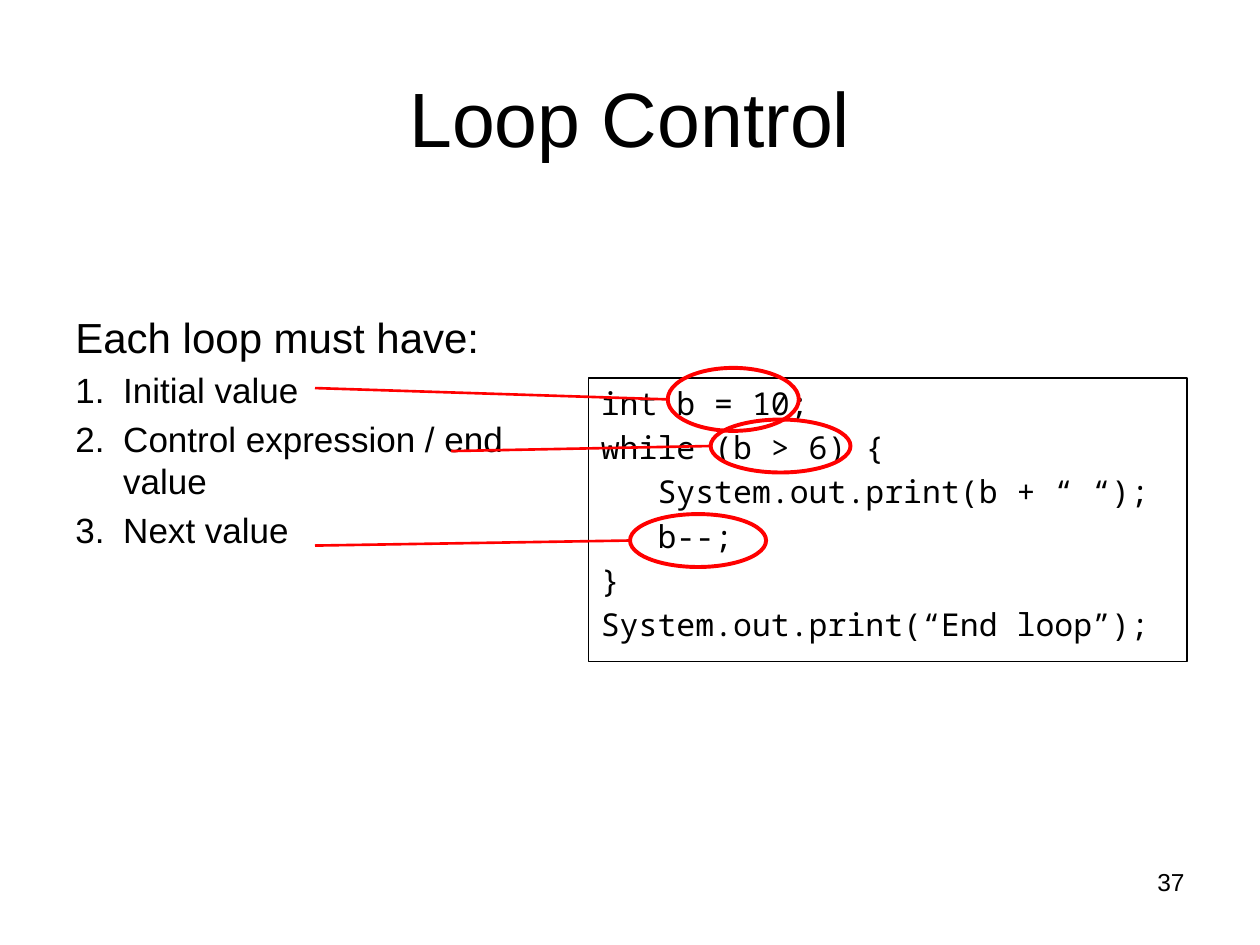
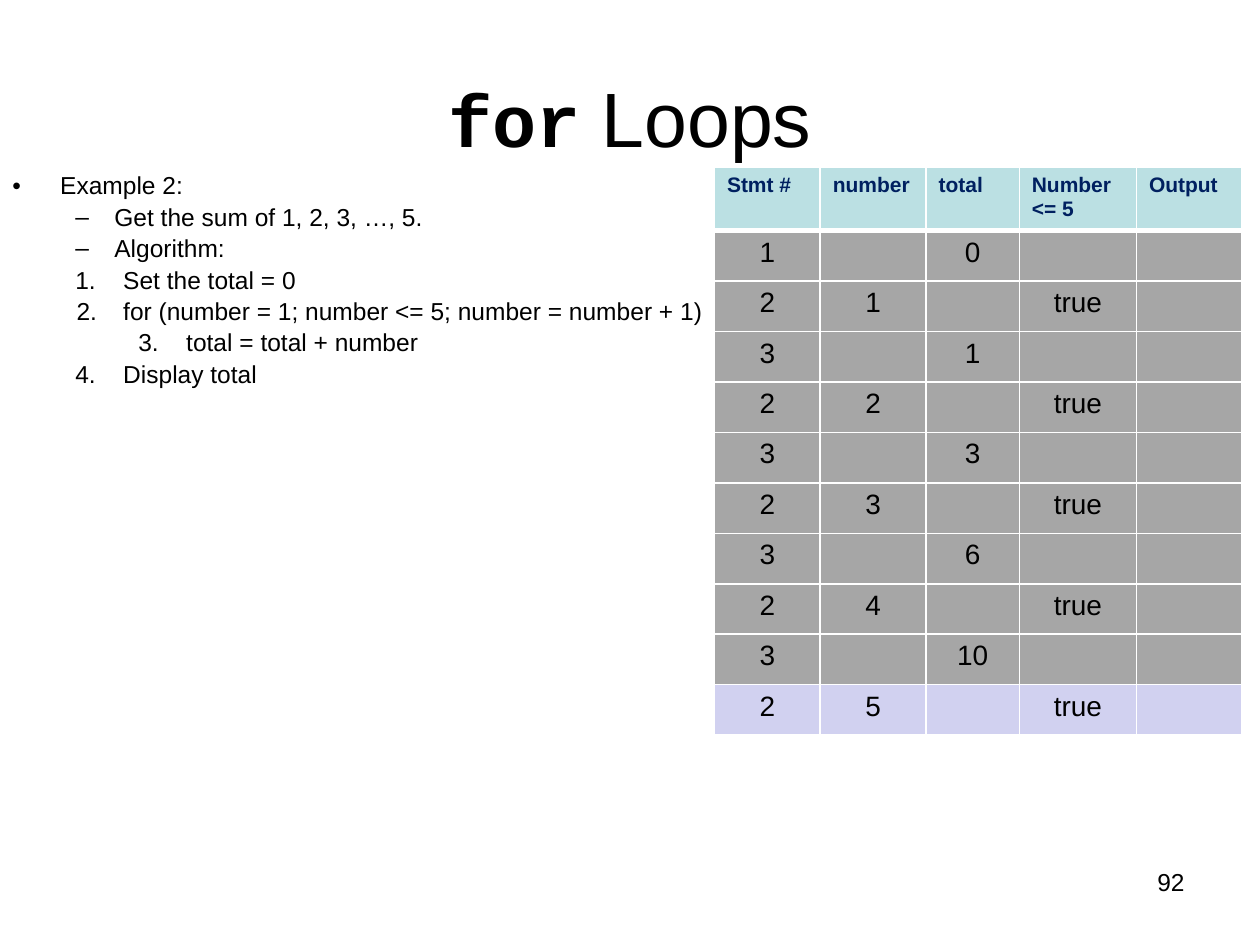
from lxml.etree import SubElement
from pptx import Presentation
from pptx.dml.color import RGBColor
from pptx.enum.shapes import MSO_CONNECTOR as Connector, MSO_SHAPE as Shape
from pptx.enum.text import MSO_ANCHOR as Anchor, PP_ALIGN as Align
from pptx.oxml.ns import qn
from pptx.util import Inches, Pt

BLACK = RGBColor(0x00, 0x00, 0x00)
WHITE = RGBColor(0xFF, 0xFF, 0xFF)
RED = RGBColor(0xFF, 0x00, 0x00)
NAVY = RGBColor(0x00, 0x20, 0x60)
TEAL = RGBColor(0xBB, 0xE0, 0xE3)
GRAY = RGBColor(0xA6, 0xA6, 0xA6)
LAVENDER = RGBColor(0xD1, 0xD1, 0xF0)

SANS = "Arial"
KEYWORD = "Courier New"
MONO = "Noto Sans Mono"
SPACE_RATIO = 0.2


def apply(target, values):
    for name, value in values.items():
        setattr(target, name, value)


class Deck:
    def __init__(self):
        self.presentation = Presentation()
        apply(self.presentation, {"slide_width": Inches(10), "slide_height": Inches(7.5)})
        self.slide = None

    def add_slide(self, title_runs, number):
        self.slide = self.presentation.slides.add_slide(self.presentation.slide_layouts[6])
        title = self.text_frame(0.5, 0.3, 9, 1.25, Anchor.MIDDLE)
        heading = title.paragraphs[0]
        heading.alignment = Align.CENTER
        for text, font, size, bold in title_runs:
            self.run(heading, text, size, font, bold=bold)
        footer = self.text_frame(7.17, 6.83, 2.33, 0.52).paragraphs[0]
        footer.alignment = Align.RIGHT
        self.run(footer, number, 14)

    def text_frame(self, left, top, width, height, anchor=Anchor.TOP):
        box = self.slide.shapes.add_textbox(
            Inches(left), Inches(top), Inches(width), Inches(height))
        apply(box.text_frame, {"word_wrap": True, "vertical_anchor": anchor})
        return box.text_frame

    def run(self, paragraph, text, size, font=SANS, color=BLACK, bold=False):
        run = paragraph.add_run()
        run.text = text
        apply(run.font, {"name": font, "size": Pt(size), "bold": bold})
        run.font.color.rgb = color

    def paragraph(self, frame, text, size, font=SANS, left=0, hanging=0, level=0,
                  bullet=None, start=None, line_spacing=1.0):
        paragraph = frame.paragraphs[0]
        if paragraph.runs:
            paragraph = frame.add_paragraph()
        apply(paragraph, {"alignment": Align.LEFT, "level": level,
                          "space_before": Pt(size * SPACE_RATIO),
                          "line_spacing": line_spacing})
        properties = paragraph._p.get_or_add_pPr()
        properties.set("marL", str(Inches(left)))
        properties.set("indent", str(Inches(-hanging)))
        if bullet:
            SubElement(properties, qn("a:buFont"), typeface=SANS)
            if bullet == "1.":
                numbering = SubElement(properties, qn("a:buAutoNum"), type="arabicPeriod")
                if start:
                    numbering.set("startAt", str(start))
            else:
                SubElement(properties, qn("a:buChar"), char=bullet)
        self.run(paragraph, text, size, font)

    def outline(self, kind, left, top, width, height, color, weight):
        shape = self.slide.shapes.add_shape(
            kind, Inches(left), Inches(top), Inches(width), Inches(height))
        shape.shadow.inherit = False
        shape.fill.background()
        shape.line.color.rgb = color
        shape.line.width = Pt(weight)
        return shape

    def line(self, start, end, color, weight):
        line = self.slide.shapes.add_connector(
            Connector.STRAIGHT, *(Inches(value) for value in start + end))
        line.line.color.rgb = color
        line.line.width = Pt(weight)
        SubElement(line._element.spPr, qn("a:effectLst"))

    def callout(self, start, left, top, width, height):
        self.outline(Shape.OVAL, left, top, width, height, RED, 2.25)
        self.line(start, (left, top + height / 2), RED, 1.5)

    def border(self, cell, side, weight):
        edge = SubElement(cell._tc.get_or_add_tcPr(), qn(f"a:ln{side}"), w=str(Pt(weight)))
        fill = SubElement(edge, qn("a:solidFill"))
        SubElement(fill, qn("a:srgbClr"), val=str(WHITE))

    def table(self, left, top, widths, heights, rows, fills):
        table = self.slide.shapes.add_table(
            len(rows), len(widths), Inches(left), Inches(top),
            Inches(sum(widths)), Inches(sum(heights))).table
        for column, width in zip(table.columns, widths):
            column.width = Inches(width)
        for index, (row, height) in enumerate(zip(rows, heights)):
            table.rows[index].height = Inches(height)
            for cell, text in zip(table.rows[index].cells, row):
                for side in "LRTB":
                    thick = (index, side) in ((0, "B"), (1, "T"))
                    self.border(cell, side, 3 if thick else 1)
                cell.fill.solid()
                cell.fill.fore_color.rgb = fills[index]
                if text:
                    entry = cell.text_frame.paragraphs[0]
                    if index == 0:
                        self.run(entry, text, 12, color=NAVY, bold=True)
                    else:
                        entry.alignment = Align.CENTER
                        self.run(entry, text, 16)


def loop_control(deck):
    deck.add_slide([("Loop Control", SANS, 44, False)], "37")
    code = deck.outline(Shape.RECTANGLE, 4.67, 3, 4.75, 2.25, BLACK, 0.75).text_frame
    apply(code, {"word_wrap": True, "vertical_anchor": Anchor.TOP})
    for text, left in [
        ("int b = 10;", 0),
        ("while (b > 6) {", 0),
        ("System.out.print(b + “ “);", 0.45),
        ("b--;", 0.45),
        ("}", 0),
        ("System.out.print(“End loop”);", 0),
    ]:
        deck.paragraph(code, text, 18, MONO, left=left)

    requirements = deck.text_frame(0.5, 2.42, 3.67, 2.5)
    deck.paragraph(requirements, "Each loop must have:", 24, left=0.38, hanging=0.38)
    for text in ("Initial value", "Control expression / end value", "Next value"):
        deck.paragraph(requirements, text, 20, left=0.38, hanging=0.38, bullet="1.")

    deck.callout((2.5, 3.08), 5.3, 2.92, 1.04, 0.5)
    deck.callout((3.58, 3.58), 5.64, 3.33, 1.11, 0.42)
    deck.callout((2.5, 4.33), 5, 4.08, 1.08, 0.42)


def for_loops(deck):
    deck.add_slide([("for", KEYWORD, 42, True), (" Loops", SANS, 44, False)], "92")
    algorithm = deck.text_frame(0, 1.33, 6.2, 2.15)
    for text, level, left, hanging, bullet, start in [
        ("Example 2:", 0, 0.38, 0.38, "•", None),
        ("Get the sum of 1, 2, 3, …, 5.", 1, 0.81, 0.31, "–", None),
        ("Algorithm:", 1, 0.81, 0.31, "–", None),
        ("Set the total = 0", 1, 0.88, 0.38, "1.", None),
        ("for (number = 1; number <= 5; number = number + 1)", 2, 0.88, 0.37, "1.", 2),
        ("total = total + number", 2, 1.38, 0.38, "1.", 2),
        ("Display total", 1, 0.88, 0.38, "1.", 4),
    ]:
        deck.paragraph(algorithm, text, 14, level=level, left=left, hanging=hanging,
                       bullet=bullet, start=start, line_spacing=0.9)

    trace = [("Stmt #", "number", "total", "Number <= 5", "Output"), ("1", "", "0", "", "")]
    total = 0
    for number in range(1, 6):
        trace.append(("2", str(number), "", "true", ""))
        total += number
        if number < 5:
            trace.append(("3", "", str(total), "", ""))
    steps = len(trace) - 1
    deck.table(5.67, 1.33, [0.84, 0.84, 0.74, 0.93, 0.84], [0.48] + [0.4] * steps,
               trace, [TEAL] + [GRAY] * (steps - 1) + [LAVENDER])


def main():
    deck = Deck()
    loop_control(deck)
    for_loops(deck)
    deck.presentation.save("out.pptx")


if __name__ == "__main__":
    main()
